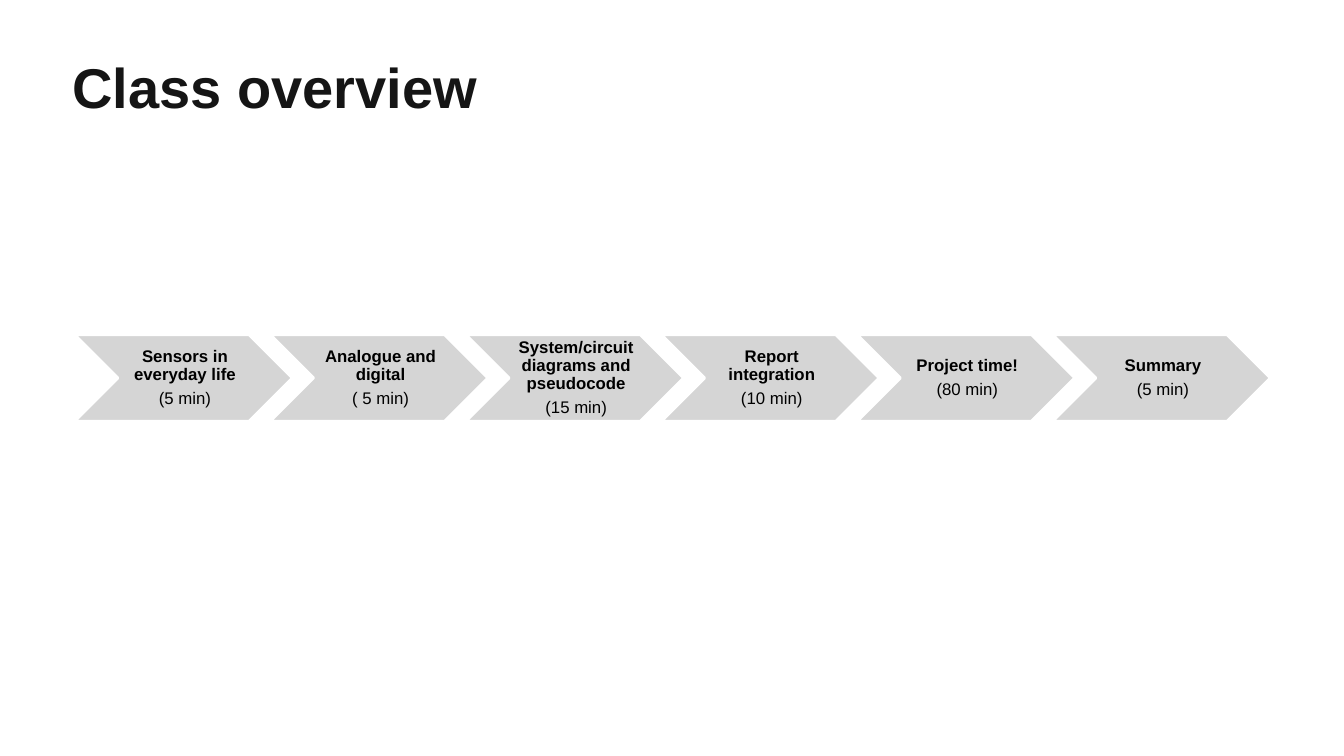
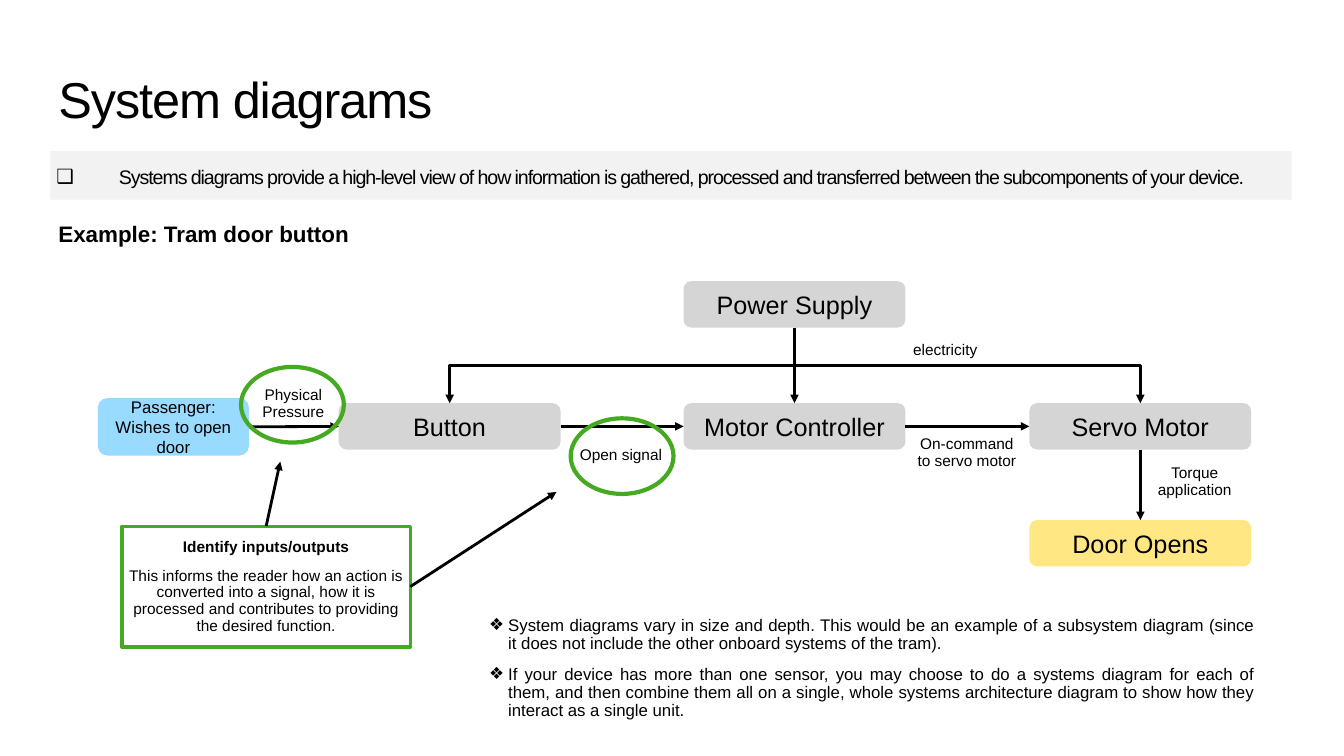
from dataclasses import dataclass

from lxml import etree
from pptx import Presentation
from pptx.dml.color import RGBColor
from pptx.enum.shapes import MSO_CONNECTOR, MSO_SHAPE
from pptx.enum.text import MSO_ANCHOR, MSO_AUTO_SIZE, PP_ALIGN
from pptx.oxml.ns import qn
from pptx.util import Inches, Pt


@dataclass(frozen=True)
class Theme:
    font: str = "Arial"
    ink: RGBColor = RGBColor(0x00, 0x00, 0x00)
    heading: RGBColor = RGBColor(0x15, 0x15, 0x15)
    white: RGBColor = RGBColor(0xFF, 0xFF, 0xFF)
    band: RGBColor = RGBColor(0xF2, 0xF2, 0xF2)
    block: RGBColor = RGBColor(0xD5, 0xD5, 0xD5)
    source: RGBColor = RGBColor(0x99, 0xDA, 0xFF)
    result: RGBColor = RGBColor(0xFF, 0xE8, 0x84)
    accent: RGBColor = RGBColor(0x45, 0xAA, 0x21)
    title_size: int = 40
    subtitle_size: int = 36
    block_size: int = 18
    example_size: int = 16
    lead_size: int = 14
    body_size: int = 12
    label_size: int = 11
    inset: float = 0.06
    tracking: str = "-80"


theme = Theme()


def write(box, lines, size, place=None, align=PP_ALIGN.CENTER, anchor=MSO_ANCHOR.MIDDLE,
          leading=0.9, before=6, after=3, bold_first=False, color=theme.ink,
          tight=False, bullet=None, indent=0):
    """Place a box, fill it with paragraphs and format them."""
    if place:
        box.left, box.top, box.width, box.height = (Inches(value) for value in place)
    frame = box.text_frame
    frame.text = "\n".join(lines)
    frame.word_wrap = True
    frame.auto_size = MSO_AUTO_SIZE.NONE
    frame.vertical_anchor = anchor
    frame.margin_left = frame.margin_right = Inches(theme.inset)
    frame.margin_top = frame.margin_bottom = Inches(theme.inset)
    for index, para in enumerate(frame.paragraphs):
        para.alignment = align
        para.line_spacing = leading
        para.space_before, para.space_after = Pt(before), Pt(after)
        if bullet:
            properties = para._p.get_or_add_pPr()
            properties.set("marL", str(Inches(indent)))
            properties.set("indent", str(-Inches(indent)))
            etree.SubElement(properties, qn("a:buChar"), char=bullet)
        for span in para.runs:
            span.font.name = theme.font
            span.font.size = Pt(size)
            span.font.color.rgb = color
            span.font.bold = bold_first and index == 0
            if tight:
                span._r.get_or_add_rPr().set("spc", theme.tracking)


def add_arrow(page, kind, begin=(0, 0), end=(0, 0)):
    """Draw a black line with a triangle at its end."""
    arrow = page.shapes.add_connector(kind, *(Inches(value) for value in begin + end))
    arrow.line.color.rgb = theme.ink
    arrow.line.width = Pt(2)
    etree.SubElement(arrow.line._get_or_add_ln(), qn("a:tailEnd"), type="triangle")
    etree.SubElement(arrow._element.spPr, qn("a:effectLst"))
    return arrow


deck = Presentation()
deck.slide_width, deck.slide_height = Inches(13.33), Inches(7.5)

# Slide 1: title
page = deck.slides.add_slide(deck.slide_layouts[5])
write(page.shapes.title, ["Class overview"], theme.title_size, (0.66, 0.59, 12.01, 0.78),
      PP_ALIGN.LEFT, MSO_ANCHOR.TOP, 0.8, 0, 0, bold_first=True, color=theme.heading)

# Slide 1: row of chevrons
steps = [
    ("Sensors in everyday life", "(5 min)"),
    ("Analogue and digital", "( 5 min)"),
    ("System/circuit diagrams and pseudocode", "(15 min)"),
    ("Report integration", "(10 min)"),
    ("Project time!", "(80 min)"),
    ("Summary", "(5 min)"),
]
for index, step in enumerate(steps):
    chevron = page.shapes.add_shape(MSO_SHAPE.CHEVRON, Inches(0.74 + 1.94 * index),
                                    Inches(3.32), Inches(2.16), Inches(0.86))
    chevron.shadow.inherit = False
    chevron.fill.solid()
    chevron.fill.fore_color.rgb = theme.block
    chevron.line.color.rgb = theme.white
    chevron.line.width = Pt(2)
    write(chevron, step, theme.body_size, before=0, after=4.2, bold_first=True)
    frame = chevron.text_frame
    frame.margin_left = Inches(0.05)
    frame.margin_top = frame.margin_right = frame.margin_bottom = Inches(0.02)

# Slide 2: title, lead sentence on its band, closing notes
page = deck.slides.add_slide(deck.slide_layouts[3])
title, lead, notes = page.placeholders
write(title, ["System diagrams"], theme.subtitle_size, (0.52, 0.73, 11.89, 0.7),
      PP_ALIGN.LEFT, MSO_ANCHOR.TOP, 0.8, 0, 0, tight=True)
write(lead, ["Systems diagrams provide a high-level view of how information is gathered, "
             "processed and transferred between the subcomponents of your device."],
      theme.lead_size, (0.5, 1.5, 12.31, 0.48), PP_ALIGN.LEFT, MSO_ANCHOR.TOP, 0.8, 3, 6,
      tight=True, bullet="❑", indent=0.62)
lead.text_frame.margin_top = Inches(0.18)
lead.fill.solid()
lead.fill.fore_color.rgb = theme.band
write(notes, ["System diagrams vary in size and depth. This would be an example of a subsystem "
              "diagram (since it does not include the other onboard systems of the tram).",
              "If your device has more than one sensor, you may choose to do a systems diagram "
              "for each of them, and then combine them all on a single, whole systems "
              "architecture diagram to show how they interact as a single unit."],
      theme.body_size, (4.79, 6, 7.72, 1.27), PP_ALIGN.JUSTIFY, bullet="❖", indent=0.19)

example = page.shapes.add_textbox(0, 0, 0, 0)
write(example, ["Example: Tram door button"], theme.example_size, (0.52, 2.09, 5.77, 0.48),
      PP_ALIGN.LEFT, bold_first=True)

# Slide 2: diagram blocks
block_width, block_height = 2.2, 0.46
block_specs = [
    ("Power Supply", 6.78, 2.79, theme.block),
    ("Button", 3.36, 4, theme.block),
    ("Motor Controller", 6.78, 4, theme.block),
    ("Servo Motor", 10.21, 4, theme.block),
    ("Door Opens", 10.21, 5.16, theme.result),
    ("Passenger: Wishes to open door", 0.97, 3.95, theme.source),
]
blocks = []
for name, left, top, color in block_specs:
    block = page.shapes.add_shape(MSO_SHAPE.ROUNDED_RECTANGLE, 0, 0, 0, 0)
    block.shadow.inherit = False
    block.fill.solid()
    block.fill.fore_color.rgb = color
    block.line.fill.background()
    is_source = color == theme.source
    width, height = (1.5, 0.57) if is_source else (block_width, block_height)
    write(block, [name], theme.body_size if is_source else theme.block_size,
          (left, top, width, height), leading=1.0, before=0, after=0)
    blocks.append(block)
power, button, controller, servo, door, passenger = blocks

# Slide 2: arrows between blocks, glued to their sides
top_side, left_side, bottom_side, right_side = range(4)
links = [
    (power, bottom_side, controller, top_side),
    (passenger, right_side, button, left_side),
    (button, right_side, controller, left_side),
    (controller, right_side, servo, left_side),
    (servo, bottom_side, door, top_side),
]
for start, start_side, end, end_side in links:
    arrow = add_arrow(page, MSO_CONNECTOR.STRAIGHT)
    arrow.begin_connect(start, start_side)
    arrow.end_connect(end, end_side)

# Elbows leave downwards, so their frame is turned a quarter about its centre
for target, turn, flip in ((button, 90, "0"), (servo, 270, "1")):
    arrow = add_arrow(page, MSO_CONNECTOR.ELBOW)
    arrow.begin_connect(power, bottom_side)
    arrow.end_connect(target, top_side)
    drop, reach = arrow.height, arrow.width
    arrow.left += (reach - drop) // 2
    arrow.top += (drop - reach) // 2
    arrow.width, arrow.height = drop, reach
    frame = arrow._element.spPr.find(qn("a:xfrm"))
    frame.set("rot", str(turn * 60000))
    frame.set("flipH", flip)

# Slide 2: signal labels
labels = [
    ("electricity", (8.55, 3.27, 1.65, 0.42)),
    ("Physical Pressure", (2.34, 3.72, 1.14, 0.57)),
    ("Open signal", (5.61, 4.31, 1.1, 0.41)),
    ("On-command to servo motor", (9.04, 4.21, 1.1, 0.57)),
    ("Torque application", (11.3, 4.5, 1.1, 0.57)),
]
for name, place in labels:
    write(page.shapes.add_textbox(0, 0, 0, 0), [name], theme.label_size, place)

# Slide 2: green rings and callout
outlines = []
for kind, place, weight in (
    (MSO_SHAPE.OVAL, (2.39, 3.64, 1.02, 0.75), 3),
    (MSO_SHAPE.OVAL, (5.66, 4.15, 1.02, 0.75), 3),
    (MSO_SHAPE.RECTANGLE, (1.21, 5.22, 2.86, 1.2), 2.25),
):
    outline = page.shapes.add_shape(kind, *(Inches(value) for value in place))
    outline.shadow.inherit = False
    outline.fill.background()
    outline.line.color.rgb = theme.accent
    outline.line.width = Pt(weight)
    outlines.append(outline)
callout = outlines[-1]
write(callout, ["Identify inputs/outputs",
                "This informs the reader how an action is converted into a signal, how it is "
                "processed and contributes to providing the desired function."],
      theme.label_size, bold_first=True)
for side, tip in ((top_side, (2.78, 4.58)), (right_side, (5.52, 4.88))):
    arrow = add_arrow(page, MSO_CONNECTOR.STRAIGHT, end=tip)
    arrow.begin_connect(callout, side)

deck.save("out.pptx")
